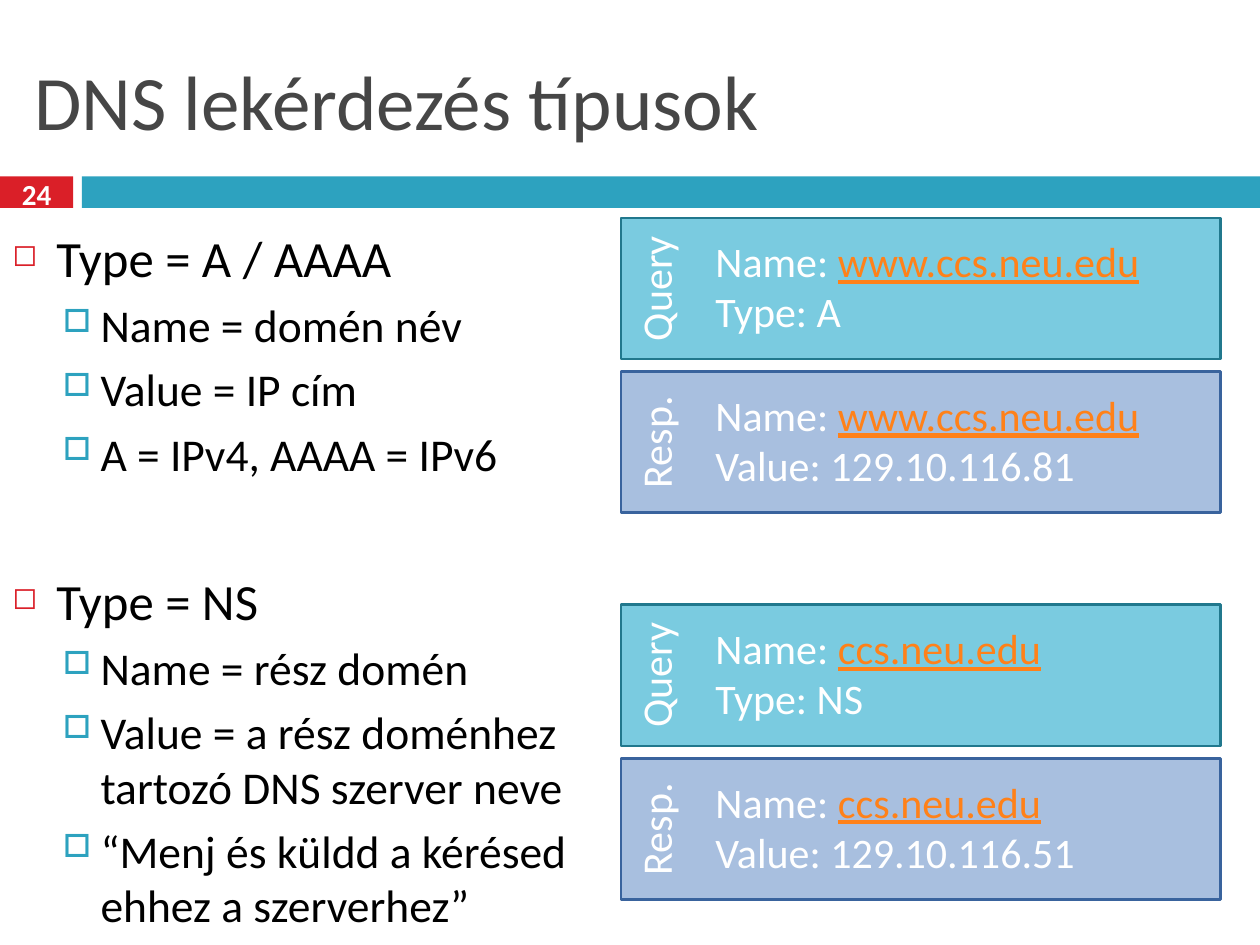
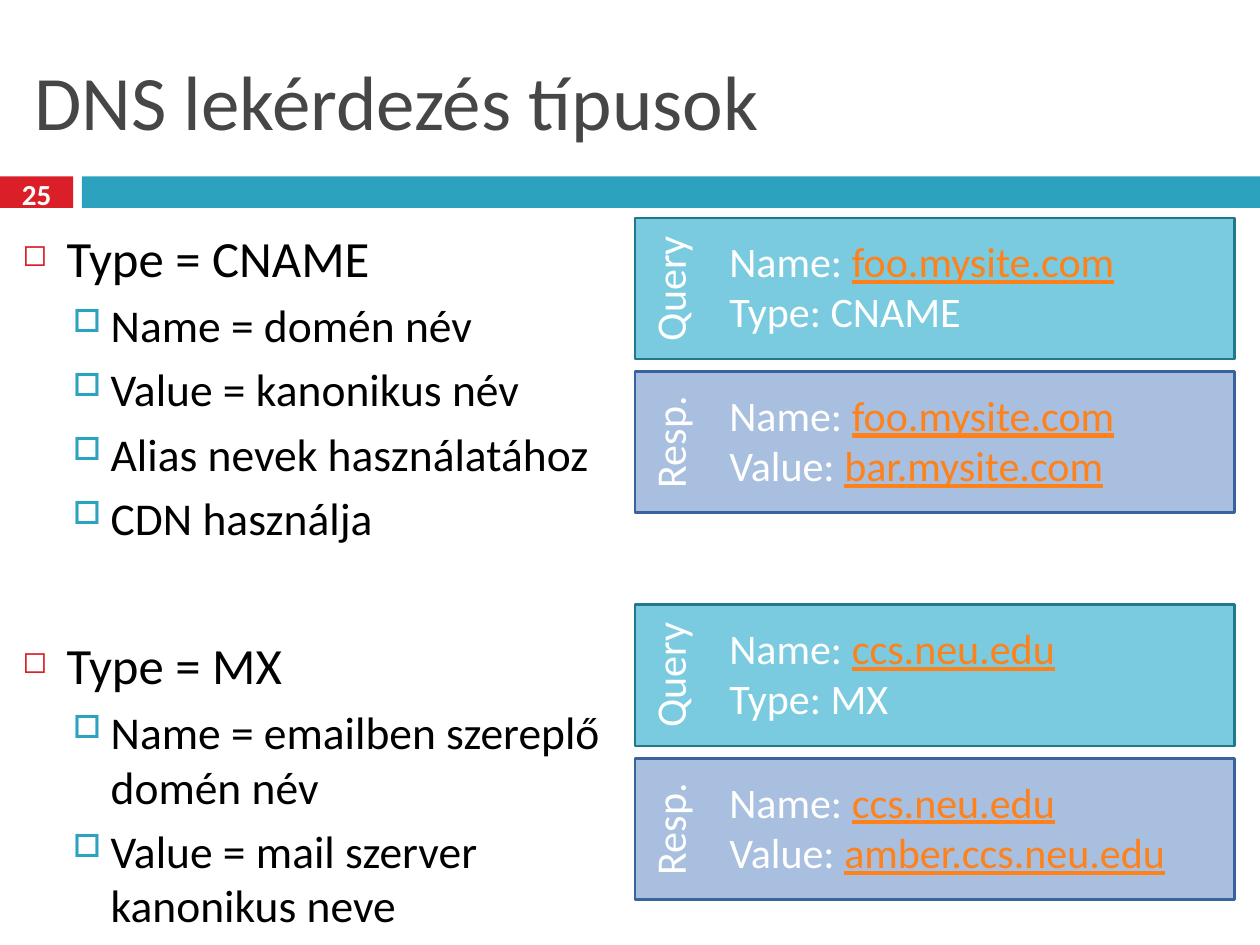
from pptx import Presentation
from pptx import util as u
from pptx.dml.color import RGBColor
from pptx.enum import shapes, text
from pptx.oxml.ns import qn
from lxml import etree

# Shared look
FONT = "Calibri"
RED, TEAL, GREY = "DA1F28", "2DA2BF", "464646"
WHITE, BLACK, LINK = "FFFFFF", "000000", "FF8119"
# label, fill, line
KINDS = [("Query", "7ACBE0", "21788D"), ("Resp.", "A8BFDF", "39639D")]
# indent, hanging, space before, bullet, bullet colour, bullet percent, size
LEVELS = [(0.35, 0.35, 7, "\u25fb", RED, 60, 29),
          (0.7, 0.3, 5.5, "\u25a1", TEAL, 70, 26)]
GAP = 44  # extra points above the second record type


def rgb(code):
    return RGBColor.from_string(code)


def style(run, size, color, bold=None, line=None):
    font = run.font
    font.name, font.size, font.bold, font.underline = FONT, u.Pt(size), bold, line
    font.color.rgb = rgb(color)


# Content: number, text left and width, box left, bullets by type, exchanges.
# Each line of an exchange is plain text and an optional underlined address.
PAGES = [
    (24, 0, 5.07, 4.93,
     [("Type = A / AAAA",
       ["Name = domén név", "Value = IP cím", "A = IPv4, AAAA = IPv6"]),
      ("Type = NS",
       ["Name = rész domén", "Value = a rész doménhez tartozó DNS szerver neve",
        "“Menj és küldd a kérésed ehhez a szerverhez”"])],
     [("www.ccs.neu.edu", ("Type: A", ""), ("Value: 129.10.116.81", "")),
      ("ccs.neu.edu", ("Type: NS", ""), ("Value: 129.10.116.51", ""))]),
    (25, 0.08, 4.99, 5.04,
     [("Type = CNAME",
       ["Name = domén név", "Value = kanonikus név",
        "Alias nevek használatához", "CDN használja"]),
      ("Type = MX",
       ["Name = emailben szereplő domén név",
        "Value = mail szerver kanonikus neve"])],
     [("foo.mysite.com", ("Type: CNAME", ""), ("Value: ", "bar.mysite.com")),
      ("ccs.neu.edu", ("Type: MX", ""), ("Value: ", "amber.ccs.neu.edu"))]),
]

deck = Presentation()
deck.slide_width, deck.slide_height = u.Inches(10), u.Inches(7.5)

for number, left, width, edge, topics, trades in PAGES:
    slide = deck.slides.add_slide(deck.slide_layouts[5])
    parts = slide.shapes

    # Bands under the title
    for x, w, color in [(0, 0.58, RED), (0.65, 9.35, TEAL)]:
        band = parts.add_shape(shapes.MSO_SHAPE.RECTANGLE, u.Inches(x),
                               u.Inches(1.4), u.Inches(w), u.Inches(0.25))
        band.shadow.inherit = False
        band.fill.solid()
        band.fill.fore_color.rgb = rgb(color)
        band.line.fill.background()

    # Title
    title = parts.title
    title.left, title.top = u.Inches(0.17), u.Inches(0.25)
    title.width, title.height = u.Inches(9.67), u.Inches(1.08)
    frame = title.text_frame
    frame.text = "DNS lekérdezés típusok"
    frame.vertical_anchor = text.MSO_ANCHOR.MIDDLE
    frame.paragraphs[0].alignment = text.PP_ALIGN.LEFT
    style(frame.paragraphs[0].runs[0], 44, GREY)

    # Slide number
    frame = parts.add_textbox(0, u.Inches(1.37), u.Inches(0.58),
                              u.Inches(0.33)).text_frame
    frame.text = str(number)
    frame.word_wrap = True
    frame.vertical_anchor = text.MSO_ANCHOR.MIDDLE
    frame.paragraphs[0].alignment = text.PP_ALIGN.CENTER
    style(frame.paragraphs[0].runs[0], 16.6, WHITE, bold=True)

    # Bullets
    frame = parts.add_textbox(u.Inches(left), u.Inches(1.75), u.Inches(width),
                              u.Inches(5.6)).text_frame
    frame.word_wrap = True
    rows = []
    for head, items in topics:
        rows.append((0, head, GAP if rows else 0))
        rows += [(1, item, 0) for item in items]
    for i, (level, words, extra) in enumerate(rows):
        indent, hang, space, mark, color, part, size = LEVELS[level]
        para = frame.paragraphs[0] if i == 0 else frame.add_paragraph()
        para.text = words
        para.level = level
        para.space_before = u.Pt(space + extra)
        style(para.runs[0], size, BLACK)
        props = para._p.get_or_add_pPr()
        props.set("marL", str(u.Inches(indent)))
        props.set("indent", str(-u.Inches(hang)))
        tint = etree.SubElement(props, qn("a:buClr"))
        etree.SubElement(tint, qn("a:srgbClr"), val=color)
        etree.SubElement(props, qn("a:buSzPct"), val=str(part * 1000))
        etree.SubElement(props, qn("a:buChar"), char=mark)

    # Query and response boxes
    for i, (host, *ends) in enumerate(trades):
        for j, (label, fill, line) in enumerate(KINDS):
            top = 1.73 + 3.07 * i + 1.22 * j
            group = parts.add_group_shape().shapes
            box = group.add_shape(shapes.MSO_SHAPE.RECTANGLE, u.Inches(edge),
                                  u.Inches(top), u.Inches(4.76), u.Inches(1.12))
            box.shadow.inherit = False
            box.fill.solid()
            box.fill.fore_color.rgb = rgb(fill)
            box.line.color.rgb = rgb(line)
            box.line.width = u.Pt(1.5)

            # Turned label
            tag = group.add_textbox(u.Inches(edge - 0.29), u.Inches(top + 0.31),
                                    u.Inches(1.12), u.Inches(0.5))
            tag.rotation = 270
            frame = tag.text_frame
            frame.text = label
            frame.word_wrap = False
            frame.paragraphs[0].alignment = text.PP_ALIGN.CENTER
            style(frame.paragraphs[0].runs[0], 24, WHITE)

            # Message lines
            frame = group.add_textbox(u.Inches(edge + 0.65), u.Inches(top + 0.09),
                                      u.Inches(3.92), u.Inches(0.91)).text_frame
            frame.word_wrap = True
            for k, (plain, link) in enumerate([("Name: ", host), ends[j]]):
                para = frame.paragraphs[0] if k == 0 else frame.add_paragraph()
                para.text = plain
                style(para.runs[0], 24, WHITE)
                if link:
                    run = para.add_run()
                    run.text = link
                    style(run, 24, LINK, line=True)

deck.save("out.pptx")
